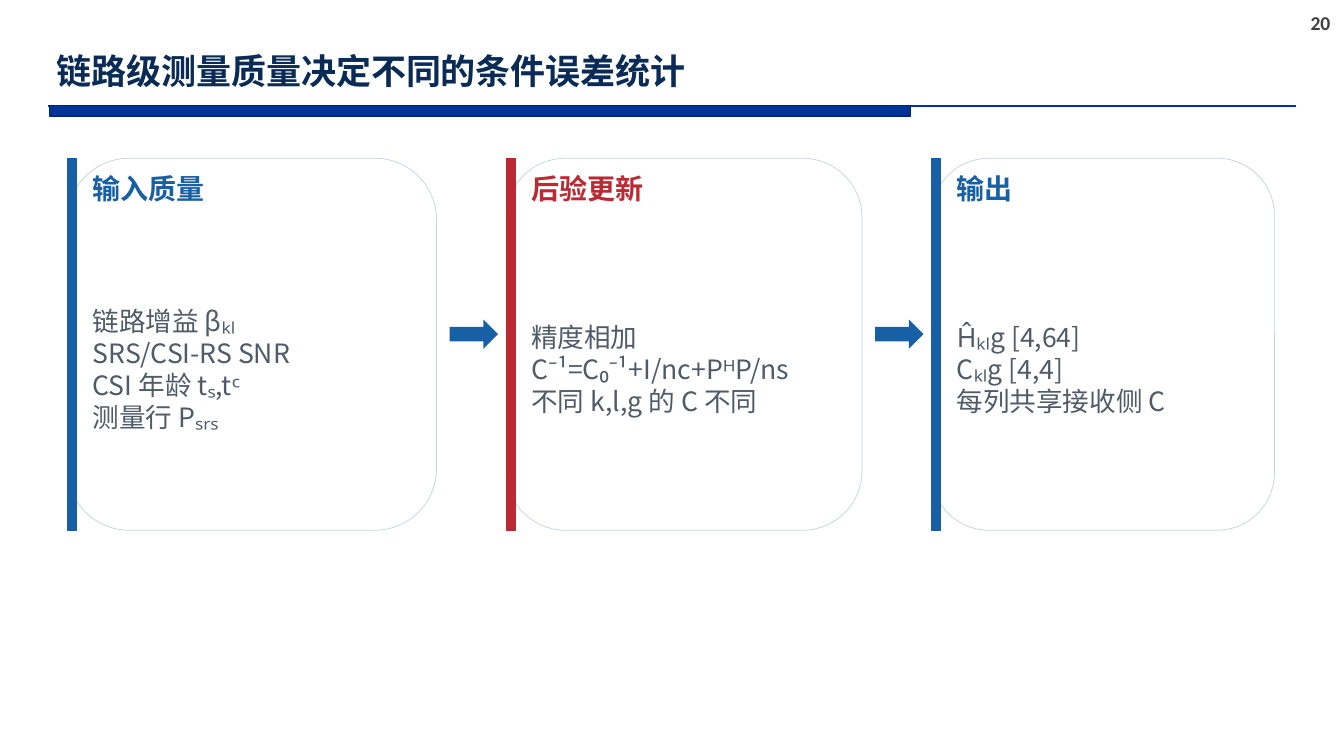
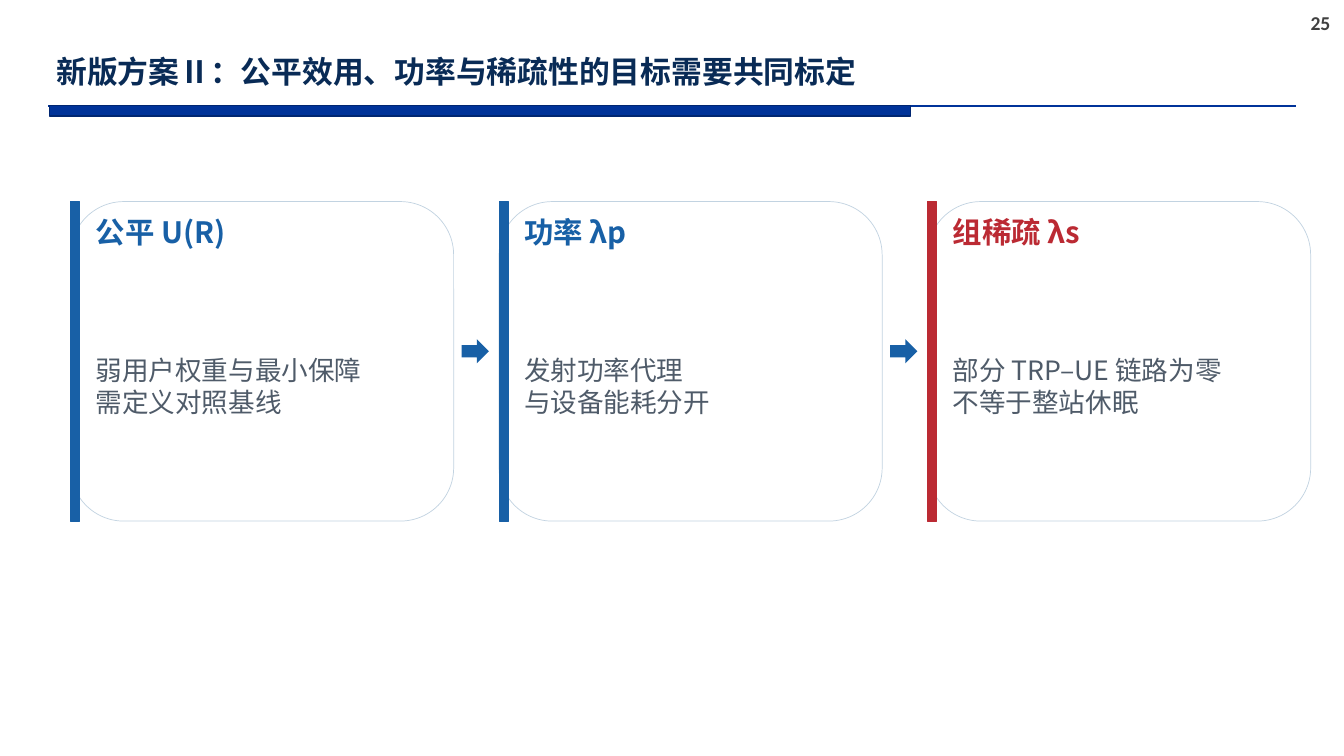
from itertools import accumulate

from lxml import etree
from pptx import Presentation
from pptx.dml.color import RGBColor
from pptx.enum.shapes import MSO_CONNECTOR, MSO_SHAPE
from pptx.enum.text import MSO_ANCHOR, MSO_AUTO_SIZE, PP_ALIGN
from pptx.oxml.ns import qn
from pptx.util import Inches, Pt

RECT, ROUNDED, ARROW = MSO_SHAPE.RECTANGLE, MSO_SHAPE.ROUNDED_RECTANGLE, MSO_SHAPE.RIGHT_ARROW
STRAIGHT = MSO_CONNECTOR.STRAIGHT
MIDDLE, TOP = MSO_ANCHOR.MIDDLE, MSO_ANCHOR.TOP
LEFT, GROW = PP_ALIGN.LEFT, MSO_AUTO_SIZE.SHAPE_TO_FIT_TEXT

FONT, NUMBER_FONT = "Noto Sans CJK SC", "Calibri"
NAVY, BAND, BAND_EDGE = "092B56", "003399", "002671"
BLUE, RED, GREY = "1860A6", "BB2A33", "4F5B69"
WHITE, CARD_EDGE, NUMBER_COLOR = "FFFFFF", "C2D3E1", "404040"
TITLE_ONLY = 5
TITLE_AREA = (0.46, 0.4, 9.45, 0.65)
BAR_WIDTH, CARD_INSET = 0.09, 0.05

PAGES = [
    {
        "number": "20", "title": "链路级测量质量决定不同的条件误差统计", "title_size": 25,
        "left": 0.67, "top": 1.57, "height": 3.69, "widths": [3.66, 3.53, 3.4], "gap": 0.69,
        "arrow": {"offset": 0.13, "width": 0.48, "height": 0.29},
        "heading_size": 20,
        "cards": [
            ("输入质量", BLUE, ["链路增益 βₖₗ", "SRS/CSI-RS SNR", "CSI 年龄 tₛ,tᶜ", "测量行 Pₛᵣₛ"]),
            ("后验更新", RED, ["精度相加", "C⁻¹=C₀⁻¹+I/nc+PᴴP/ns", "不同 k,l,g 的 C 不同"]),
            ("输出", BLUE, ["Ĥₖₗg [4,64]", "Cₖₗg [4,4]", "每列共享接收侧 C"]),
        ],
    },
    {
        "number": "25", "title": "新版方案Ⅱ：公平效用、功率与稀疏性的目标需要共同标定", "title_size": 22,
        "left": 0.7, "top": 2, "height": 3.17, "widths": [3.8] * 3, "gap": 0.45,
        "arrow": {"offset": 0.08, "width": 0.27, "height": 0.24},
        "heading_size": 21,
        "cards": [
            ("公平 U(R)", BLUE, ["弱用户权重与最小保障", "需定义对照基线"]),
            ("功率 λp", BLUE, ["发射功率代理", "与设备能耗分开"]),
            ("组稀疏 λs", RED, ["部分 TRP–UE 链路为零", "不等于整站休眠"]),
        ],
    },
]


def rgb(value):
    return RGBColor.from_string(value)


def place(shape, area):
    for name, value in zip(("left", "top", "width", "height"), area):
        setattr(shape, name, Inches(value))


def add_block(page, kind, area, fill, edge=None, weight=0.5):
    block = page.shapes.add_shape(kind, *map(Inches, area))
    block.shadow.inherit = False
    block.fill.solid()
    block.fill.fore_color.rgb = rgb(fill)
    if edge:
        block.line.color.rgb = rgb(edge)
        block.line.width = Pt(weight)
    else:
        block.line.fill.background()
    return block


def write(box, lines, size, color, bold=False, font=FONT, anchor=MIDDLE, wrap=True,
          inset=None, spacing=None):
    frame = box.text_frame
    settings = {"word_wrap": wrap, "auto_size": GROW, "vertical_anchor": anchor}
    if inset is not None:
        settings.update({f"margin_{side}": Inches(inset)
                         for side in ("left", "top", "right", "bottom")})
    for name, value in settings.items():
        setattr(frame, name, value)
    for index, line in enumerate(lines):
        para = frame.add_paragraph() if index else frame.paragraphs[0]
        para.alignment = LEFT
        para.line_spacing = spacing
        span = para.add_run()
        span.text = line
        for name, value in {"size": Pt(size), "bold": bold, "name": font}.items():
            setattr(span.font, name, value)
        span.font.color.rgb = rgb(color)
        latin = span.font._element.find(qn("a:latin"))
        east_asian = etree.Element(qn("a:ea"), typeface=font)
        latin.addnext(east_asian)


def add_text(page, area, lines, size, color, **options):
    box = page.shapes.add_textbox(*map(Inches, area))
    write(box, lines, size, color, **options)


def share_header(page, layout):
    """Draw the title rule and band, then move them to the layout for every slide."""
    rule = page.shapes.add_connector(STRAIGHT, *map(Inches, (0.48, 1.05, 12.85, 1.05)))
    rule.line.color.rgb = rgb(BAND)
    rule.line.width = Pt(1.5)
    etree.SubElement(rule.element.spPr, qn("a:effectLst"))
    band = add_block(page, RECT, (0.49, 1.05, 8.54, 0.1), BAND, BAND_EDGE, 1)
    for part in (rule, band):
        layout.shapes.element.append(part.element)


def add_card(page, area, card, heading_size):
    left, top, width, height = area
    heading, accent, lines = card
    add_block(page, ROUNDED, area, WHITE, CARD_EDGE)
    add_block(page, RECT, (left, top, BAR_WIDTH, height), accent, accent)
    add_text(page, (left + 0.2, top + 0.11, width - 0.34, 0.37), [heading],
             heading_size, accent, bold=True, inset=CARD_INSET)
    add_text(page, (left + 0.2, top + 0.59, width - 0.35, height - 0.69), lines,
             19, GREY, inset=CARD_INSET)


def build_page(page, content):
    write(page.shapes.title, [content["title"]], content["title_size"], NAVY,
          bold=True, wrap=False, spacing=0.9)
    add_text(page, (12.9, 0.06, 0.4, 0.34), [content["number"]], 14, NUMBER_COLOR,
             bold=True, font=NUMBER_FONT, anchor=TOP, wrap=False)
    top, height, gap = (content[name] for name in ("top", "height", "gap"))
    arrow = content["arrow"]
    arrow_top = top + height / 2 - 0.1 - arrow["height"] / 2
    lefts = accumulate((width + gap for width in content["widths"]), initial=content["left"])
    for index, (left, width, card) in enumerate(zip(lefts, content["widths"], content["cards"])):
        if index:
            arrow_left = left - gap + arrow["offset"]
            add_block(page, ARROW, (arrow_left, arrow_top, arrow["width"], arrow["height"]), BLUE)
        add_card(page, (left, top, width, height), card, content["heading_size"])


def main():
    deck = Presentation()
    deck.slide_width, deck.slide_height = Inches(13.33), Inches(7.5)
    layout = deck.slide_layouts[TITLE_ONLY]
    place(layout.placeholders[0], TITLE_AREA)
    pages = [deck.slides.add_slide(layout) for _ in PAGES]
    share_header(pages[0], layout)
    for page, content in zip(pages, PAGES):
        build_page(page, content)
    deck.save("out.pptx")


if __name__ == "__main__":
    main()
